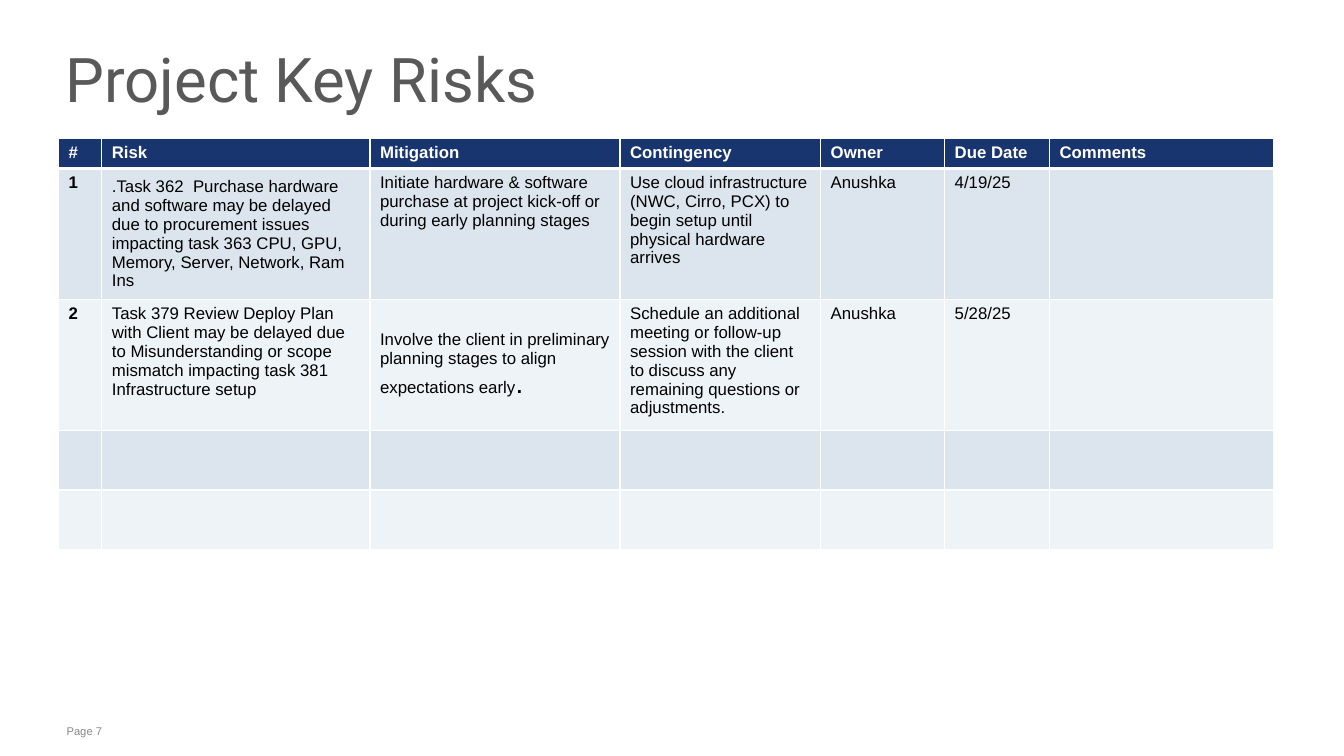
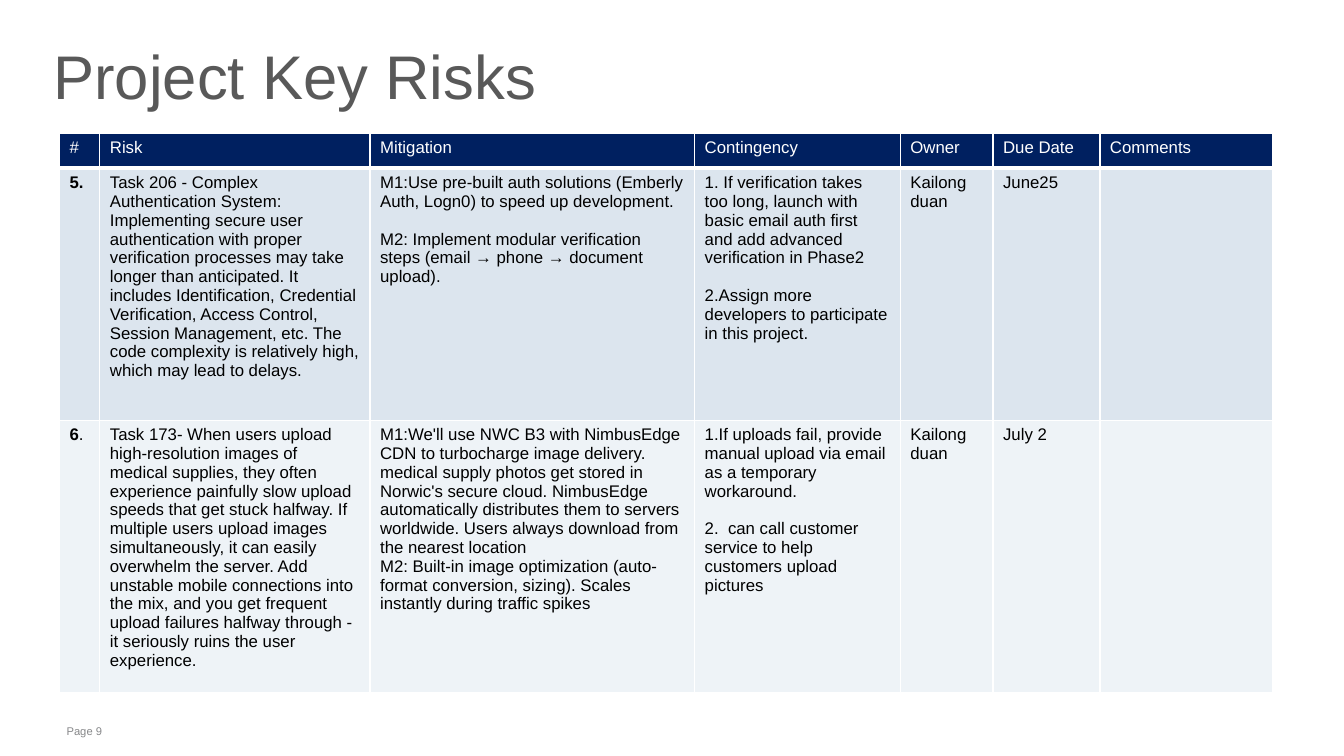
from dataclasses import dataclass

from lxml.etree import SubElement
from pptx import Presentation
from pptx.dml.color import RGBColor
from pptx.enum.text import MSO_ANCHOR as Anchor, MSO_AUTO_SIZE as AutoSize, PP_ALIGN as Align
from pptx.oxml.ns import qn
from pptx.util import Inches, Pt

NAVY, WHITE, BLACK = "002060", "FFFFFF", "000000"
BANDS = ("DCE5EE", "EEF3F7")
TITLE_GRAY, FOOTER_GRAY = "595959", "87888A"
BODY_FONT = "Arial"
BODY_SIZE = 12
HEADINGS = ("#", "Risk", "Mitigation", "Contingency", "Owner", "Due Date", "Comments")


@dataclass(frozen=True)
class Cell:
    """Paragraphs of a cell; the tail is a last run in regular weight."""
    paragraphs: tuple[str, ...] = ()
    gap: float = 0
    bold: bool = False
    middle: bool = False
    tail: str = ""
    tail_size: float = BODY_SIZE


@dataclass(frozen=True)
class TitleStyle:
    box: tuple[float, float, float, float]
    font: str
    margins: tuple[float, float]
    anchor: Anchor
    line_spacing: float


@dataclass(frozen=True)
class RiskTable:
    left: float
    top: float
    columns: tuple[float, ...]
    heights: tuple[float, ...]
    rows: tuple[tuple[Cell, ...], ...]
    header_bold: bool
    header_opacity: int


@dataclass(frozen=True)
class RiskPage:
    number: int
    title: TitleStyle
    table: RiskTable


def color(value: str) -> RGBColor:
    return RGBColor.from_string(value)


def style_font(font, size: float, ink: str, name: str = BODY_FONT, bold: bool = False) -> None:
    font.name, font.size, font.bold = name, Pt(size), bold
    font.color.rgb = color(ink)


def set_margins(frame, across: float, down: float) -> None:
    frame.margin_left = frame.margin_right = Inches(across)
    frame.margin_top = frame.margin_bottom = Inches(down)


def set_borders(cell, top: float, bottom: float) -> None:
    """Draw white borders; widths are in points."""
    properties = cell._tc.get_or_add_tcPr()
    edges = (("lnL", 1), ("lnR", 1), ("lnT", top), ("lnB", bottom))
    for index, (tag, width) in enumerate(edges):
        line = SubElement(properties, qn(f"a:{tag}"), w=str(Pt(width)))
        fill = SubElement(line, qn("a:solidFill"))
        SubElement(fill, qn("a:srgbClr"), val=WHITE)
        properties.insert(index, line)


def fill_cell(cell, fill: str, opacity: int = 100) -> None:
    cell.fill.solid()
    cell.fill.fore_color.rgb = color(fill)
    if opacity < 100:
        tint = cell._tc.tcPr.find(".//" + qn("a:srgbClr"))
        SubElement(tint, qn("a:alpha"), val=str(opacity * 1000))


def write_cell(cell, content: Cell, ink: str) -> None:
    cell.vertical_anchor = Anchor.MIDDLE if content.middle else Anchor.TOP
    frame = cell.text_frame
    for index, text in enumerate(content.paragraphs):
        para = frame.add_paragraph() if index else frame.paragraphs[0]
        if index and content.gap:
            para.space_before = Pt(content.gap)
        span = para.add_run()
        span.text = text
        style_font(span.font, BODY_SIZE, ink, bold=content.bold)
    if content.tail:
        span = frame.paragraphs[-1].add_run()
        span.text = content.tail
        style_font(span.font, content.tail_size, ink)


def add_title(page, style: TitleStyle) -> None:
    title = page.shapes.title
    title.left, title.top, title.width, title.height = map(Inches, style.box)
    frame = title.text_frame
    frame.text = "Project Key Risks"
    frame.word_wrap = True
    frame.auto_size = AutoSize.NONE
    frame.vertical_anchor = style.anchor
    set_margins(frame, *style.margins)
    para = frame.paragraphs[0]
    para.alignment = Align.LEFT
    para.line_spacing = style.line_spacing
    style_font(para.font, 44, TITLE_GRAY, style.font)


def add_footer(page, number: int) -> None:
    box = page.shapes.add_textbox(Inches(0.58), Inches(7.14), Inches(10.79), Inches(0.24))
    frame = box.text_frame
    frame.word_wrap = True
    set_margins(frame, 0.08, 0.05)
    frame.text = f"Page {number}"
    style_font(frame.paragraphs[0].font, 8, FOOTER_GRAY)


def add_risk_table(page, risks: RiskTable) -> None:
    header = tuple(Cell((heading,), bold=risks.header_bold) for heading in HEADINGS)
    rows = (header, *risks.rows)
    table = page.shapes.add_table(
        len(rows), len(HEADINGS), Inches(risks.left), Inches(risks.top),
        Inches(sum(risks.columns)), Inches(sum(risks.heights))).table
    table.horz_banding = False
    for column, width in zip(table.columns, risks.columns):
        column.width = Inches(width)
    for row_index, contents in enumerate(rows):
        table.rows[row_index].height = Inches(risks.heights[row_index])
        is_header = row_index == 0
        for column_index, content in enumerate(contents):
            cell = table.cell(row_index, column_index)
            if is_header:
                fill_cell(cell, NAVY, risks.header_opacity)
            else:
                fill_cell(cell, BANDS[(row_index - 1) % 2])
            set_borders(cell, top=3 if row_index == 1 else 1, bottom=3 if is_header else 1)
            write_cell(cell, content, WHITE if is_header else BLACK)


EMPTY = Cell()
EMPTY_ROW = (EMPTY,) * len(HEADINGS)
LINE_GAP = 13.5

# Early project risks
PLANNING_RISKS = RiskTable(
    left=0.58, top=1.37,
    columns=(0.43, 2.66, 2.48, 1.99, 1.23, 1.04, 2.22),
    heights=(0.28, 1.22, 1.22, 0.59, 0.59),
    header_bold=True, header_opacity=90,
    rows=(
        (
            Cell(("1",), bold=True),
            Cell((".Task 362  Purchase hardware and software may be delayed due to procurement "
                  "issues impacting task 363 CPU, GPU, Memory, Server, Network, Ram Ins",),
                 middle=True),
            Cell(("Initiate hardware & software purchase at project kick-off or during early "
                  "planning stages",)),
            Cell(("Use cloud infrastructure (NWC, Cirro, PCX) to begin setup until physical "
                  "hardware arrives",)),
            Cell(("Anushka",)),
            Cell(("4/19/25",)),
            EMPTY,
        ),
        (
            Cell(("2",), bold=True),
            Cell(("Task 379 Review Deploy Plan with Client may be delayed due to "
                  "Misunderstanding or scope mismatch impacting task 381 Infrastructure setup",)),
            Cell(("Involve the client in preliminary planning stages to align expectations "
                  "early",), middle=True, tail=".", tail_size=20),
            Cell(("Schedule an additional meeting or follow-up session with the client to "
                  "discuss any remaining questions or adjustments.",)),
            Cell(("Anushka",)),
            Cell(("5/28/25",)),
            EMPTY,
        ),
        EMPTY_ROW,
        EMPTY_ROW,
    ),
)

# Development risks
DEVELOPMENT_RISKS = RiskTable(
    left=0.59, top=1.32,
    columns=(0.4, 2.68, 3.22, 2.04, 0.92, 1.06, 1.71),
    heights=(0.35, 2.5, 2.7),
    header_bold=False, header_opacity=100,
    rows=(
        (
            Cell(("5.",), bold=True),
            Cell(("Task 206 - Complex Authentication System: Implementing secure user "
                  "authentication with proper verification processes may take longer than "
                  "anticipated. It includes Identification, Credential Verification, Access "
                  "Control, Session Management, etc. The code complexity is relatively high, "
                  "which may lead to delays.",)),
            Cell(("M1:Use pre-built auth solutions (Emberly Auth, Logn0) to speed up "
                  "development.",
                  "M2: Implement modular verification steps (email → phone → document "
                  "upload)."), gap=LINE_GAP),
            Cell(("1. If verification takes too long, launch with basic email auth first and "
                  "add advanced verification in Phase2",
                  "2.Assign more developers to participate in this project."), gap=LINE_GAP),
            Cell(("Kailong duan",)),
            Cell(("June25",)),
            EMPTY,
        ),
        (
            Cell(("6",), bold=True, tail="."),
            Cell(("Task 173- When users upload high-resolution images of medical supplies, "
                  "they often experience painfully slow upload speeds that get stuck halfway. "
                  "If multiple users upload images simultaneously, it can easily overwhelm the "
                  "server. Add unstable mobile connections into the mix, and you get frequent "
                  "upload failures halfway through - it seriously ruins the user "
                  "experience.",)),
            Cell(("M1:We'll use NWC B3 with NimbusEdge CDN to turbocharge image delivery. "
                  "medical supply photos get stored in Norwic's secure cloud. NimbusEdge "
                  "automatically distributes them to servers worldwide. Users always download "
                  "from the nearest location",
                  "M2: Built-in image optimization (auto-format conversion, sizing). Scales "
                  "instantly during traffic spikes")),
            Cell(("1.If uploads fail, provide manual upload via email as a temporary "
                  "workaround.",
                  "2.  can call customer service to help customers upload pictures"),
                 gap=LINE_GAP),
            Cell(("Kailong duan",)),
            Cell(("July 2",)),
            EMPTY,
        ),
    ),
)

PAGES = (
    RiskPage(7, TitleStyle((0.57, 0.26, 10.93, 1.19), "Roboto", (0.08, 0), Anchor.MIDDLE, 0.75),
             PLANNING_RISKS),
    RiskPage(9, TitleStyle((0.43, 0.33, 11.68, 0.84), BODY_FONT, (0.1, 0.05), Anchor.TOP, 1.0),
             DEVELOPMENT_RISKS),
)


def main() -> None:
    deck = Presentation()
    deck.slide_width, deck.slide_height = Inches(13.33), Inches(7.5)
    title_only = deck.slide_layouts[5]
    for content in PAGES:
        page = deck.slides.add_slide(title_only)
        add_footer(page, content.number)
        add_title(page, content.title)
        add_risk_table(page, content.table)
    deck.save("out.pptx")


if __name__ == "__main__":
    main()
